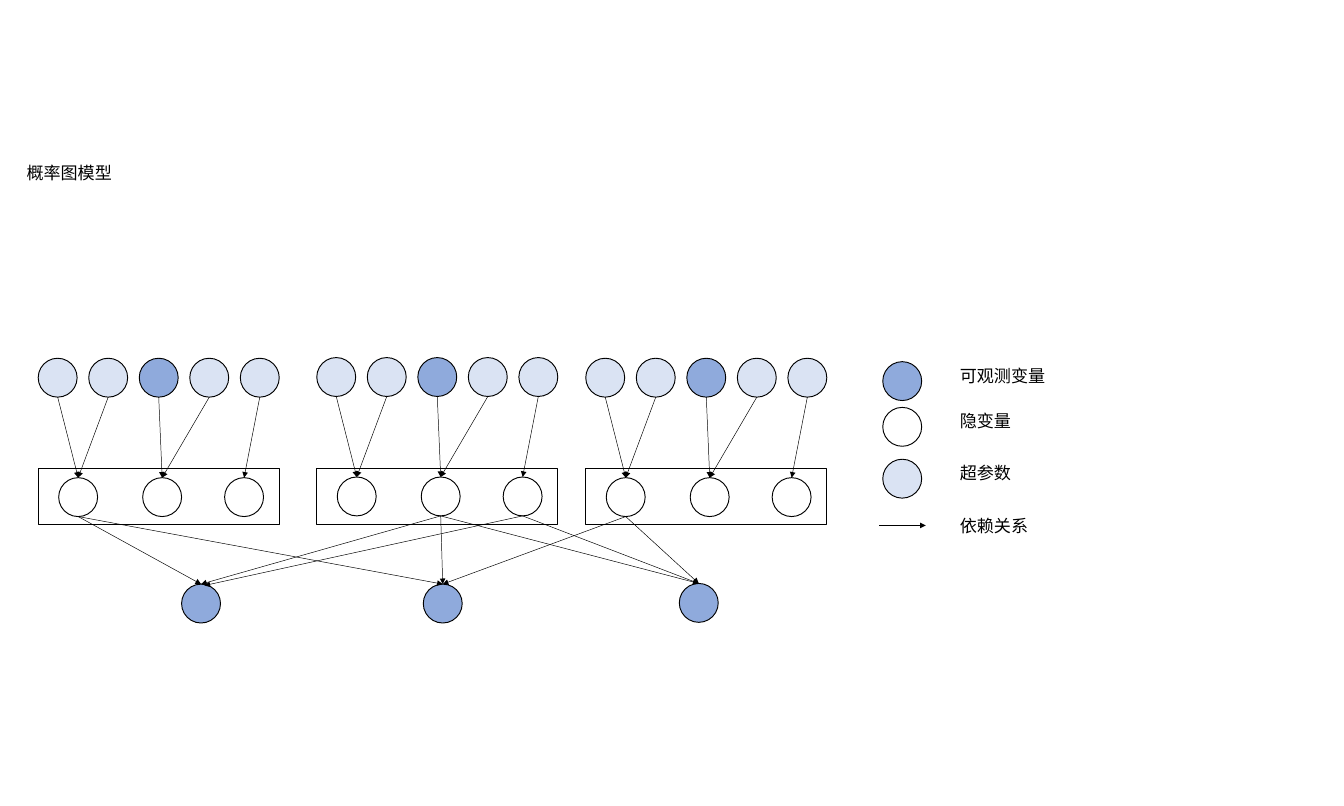
from lxml.etree import SubElement
from pptx import Presentation
from pptx.dml.color import RGBColor
from pptx.enum.shapes import MSO_CONNECTOR, MSO_SHAPE
from pptx.oxml.ns import qn
from pptx.util import Inches, Pt

HUES = {"ink": "000000", "seen": "8FAADC", "hyper": "DAE3F3"}
FORMAT = {"name": "Calibri", "size": Pt(18), "bold": False}
SIZE = 0.57
HALF = SIZE / 2

# A page of 50 by 30 cm
deck = Presentation()
deck.slide_width, deck.slide_height = Inches(50 / 2.54), Inches(30 / 2.54)
slide = deck.slides.add_slide(deck.slide_layouts[6])
shapes = slide.shapes
ink = RGBColor.from_string(HUES["ink"])


def outline(form, x, y, wide, high, hue=None):
    item = shapes.add_shape(form, Inches(x), Inches(y), Inches(wide), Inches(high))
    item.shadow.inherit = False
    if hue:
        item.fill.solid()
        item.fill.fore_color.rgb = RGBColor.from_string(HUES[hue])
    else:
        item.fill.background()
    item.line.color.rgb = ink
    item.line.width = Pt(1)


def arrow(start, end):
    ends = [Inches(v) for v in (*start, *end)]
    link = shapes.add_connector(MSO_CONNECTOR.STRAIGHT, *ends)
    link.line.color.rgb = ink
    link.line.width = Pt(0.5)
    SubElement(link.line._get_or_add_ln(), qn("a:tailEnd"), type="triangle")
    SubElement(link._element.spPr, qn("a:effectLst"))


# Three groups: five inputs above a box of three latent variables
inputs = ["hyper", "hyper", "seen", "hyper", "hyper"]
targets = [0, 0, 1, 1, 2]
roots = []
for left, top in [(0.56, 5.25), (4.64, 5.24), (8.58, 5.25)]:
    outline(MSO_SHAPE.RECTANGLE, left, top + 1.62, 3.53, 0.82)
    latent = [left + step for step in (0.3, 1.53, 2.73)]
    for x in latent:
        outline(MSO_SHAPE.OVAL, x, top + 1.75, SIZE, SIZE)
    for i, (hue, goal) in enumerate(zip(inputs, targets)):
        x = left + 0.74 * i
        outline(MSO_SHAPE.OVAL, x, top, SIZE, SIZE, hue)
        arrow((x + HALF, top + SIZE), (latent[goal] + HALF, top + 1.75))
    roots.append([(x + HALF, top + 1.75 + SIZE) for x in latent])

# Observed variables at the bottom: (group, latent, tip shift) of each parent
leaves = [
    (2.66, 8.56, [(0, 0, 0), (1, 1, 0), (1, 2, 0.05)]),
    (6.2, 8.56, [(0, 0, 0), (1, 1, 0), (2, 0, 0)]),
    (9.95, 8.55, [(1, 1, 0), (1, 2, 0), (2, 0, 0)]),
]
for x, y, parents in leaves:
    outline(MSO_SHAPE.OVAL, x, y, SIZE, SIZE, "seen")
    for group, spot, shift in parents:
        arrow(roots[group][spot], (x + HALF + shift, y + 0.4 * shift))

# Legend symbols
for y, hue in [(5.3, "seen"), (5.97, None), (6.73, "hyper")]:
    outline(MSO_SHAPE.OVAL, 12.93, y, SIZE, SIZE, hue)
arrow((12.88, 7.7), (13.56, 7.7))

# Title and legend labels
labels = [
    ("概率图模型", 0.29, 2.33, 4.47),
    ("可观测变量", 13.96, 5.3, 1.55),
    ("隐变量", 13.96, 5.97, 1.55),
    ("超参数", 13.96, 6.73, 1.55),
    ("依赖关系", 13.96, 7.5, 1.55),
]
for words, x, y, wide in labels:
    box = shapes.add_textbox(Inches(x), Inches(y), Inches(wide), Inches(0.4))
    box.text_frame.word_wrap = True
    line = box.text_frame.paragraphs[0]
    run = line.add_run()
    run.text = words
    for key, value in FORMAT.items():
        setattr(run.font, key, value)
    run.font.color.rgb = ink

deck.save("out.pptx")
